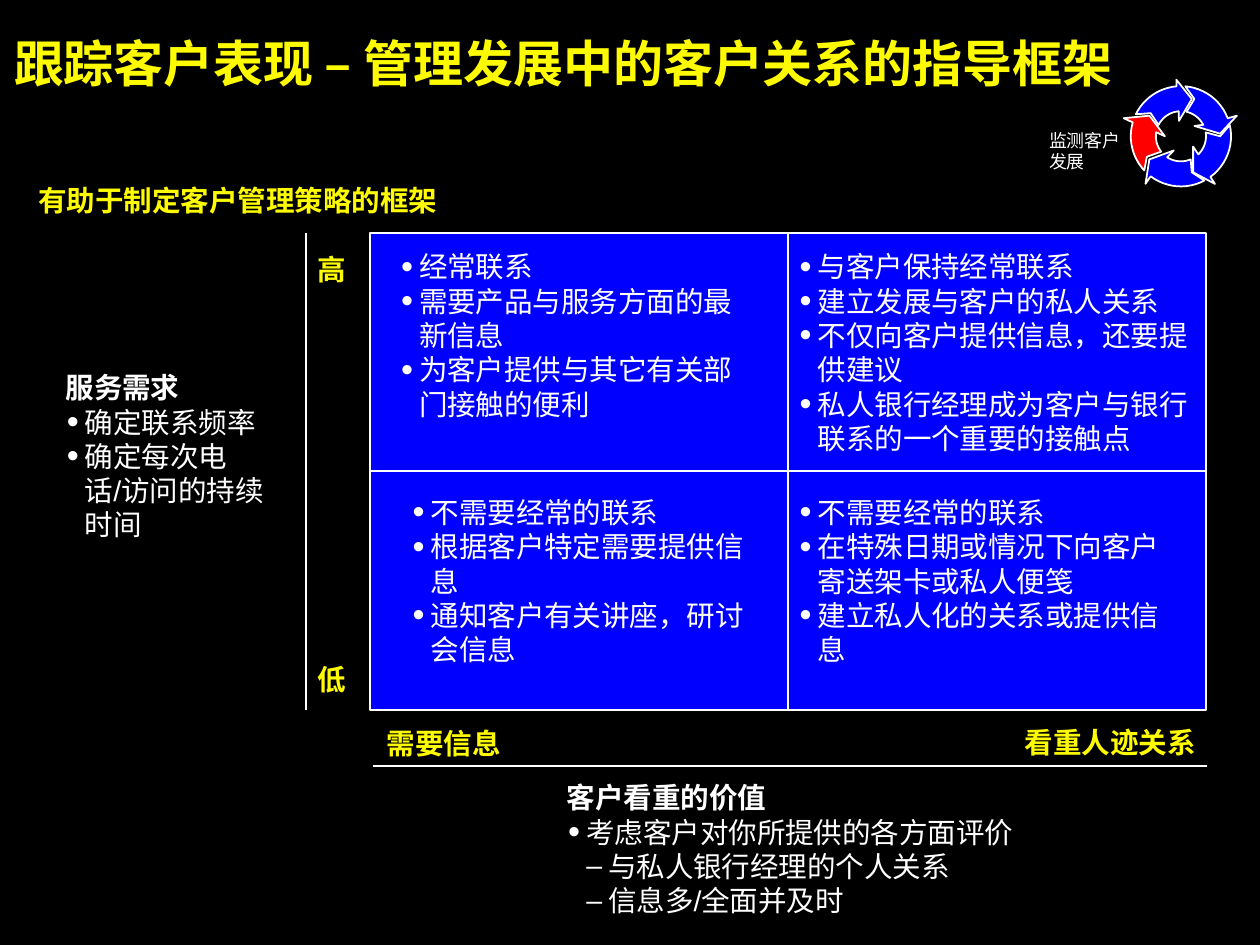
import math

from lxml import etree
from pptx import Presentation
from pptx.dml.color import RGBColor
from pptx.enum.shapes import MSO_CONNECTOR, MSO_SHAPE
from pptx.enum.text import MSO_ANCHOR
from pptx.oxml.ns import qn
from pptx.util import Emu, Pt

RECTANGLE = MSO_SHAPE.RECTANGLE
STRAIGHT = MSO_CONNECTOR.STRAIGHT
TOP = MSO_ANCHOR.TOP
MIDDLE = MSO_ANCHOR.MIDDLE

EMU_PER_PX = 9144
FONT = "Arial"
BLACK = "000000"
WHITE = "FFFFFF"
YELLOW = "FEFB00"
BLUE = "0000FE"
RED = "FF0000"

LEVELS = {
    1: {"bullet": "•", "margin": 15, "indent": -14, "size": 120},
    2: {"bullet": "–", "margin": 32, "indent": -17, "size": 100},
}

GRID_LEFT, GRID_TOP = 288, 181
CELL_WIDTH, CELL_HEIGHT = 325, 185.5

QUADRANTS = [
    (311, 194, 267, 133, ["经常联系", "需要产品与服务方面的最新信息", "为客户提供与其它有关部门接触的便利"]),
    (621, 194, 317, 160, ["与客户保持经常联系", "建立发展与客户的私人关系",
                          "不仅向客户提供信息，还要提供建议",
                          "私人银行经理成为客户与银行联系的一个重要的接触点"]),
    (320, 385, 267, 133, ["不需要经常的联系", "根据客户特定需要提供信息", "通知客户有关讲座，研讨会信息"]),
    (621, 385, 296, 133, ["不需要经常的联系", "在特殊日期或情况下向客户寄送架卡或私人便笺",
                          "建立私人化的关系或提供信息"]),
]

AXIS_LABELS = [
    (247, 196, 28, "高"),
    (247, 515, 28, "低"),
    (301, 565, 105, "需要信息"),
    (797, 564, 152, "看重人迹关系"),
]

RING_CENTER = (918.5, 106)
INNER_RADIUS, OUTER_RADIUS = 19.5, 39
RING_ARROWS = [
    (BLUE, (207, 265), [(917, 94), (927, 77), (915, 62)], (265, 206), (895, 88)),
    (BLUE, (283, 333), [(929, 98), (949, 104), (962, 90)], (339, 275), (929, 77)),
    (BLUE, (351, 406), [(928, 114), (928, 134), (945, 143)], (414, 347), (949, 106)),
    (BLUE, (67, 123), [(913, 117), (894, 124), (891, 143)], (127, 62), (927, 134)),
    (RED, (142, 189), [(906, 106), (894, 90), (874, 92)], (196, 137), (892, 122)),
]


def px(value):
    return Emu(round(value * EMU_PER_PX))


def rgb(color):
    return RGBColor.from_string(color)


def style_shape(shape, fill):
    shape.shadow.inherit = False
    shape.fill.solid()
    shape.fill.fore_color.rgb = rgb(fill)
    shape.line.color.rgb = rgb(WHITE)
    shape.line.width = Pt(1)


def add_bullet(paragraph, level):
    style = LEVELS[level]
    paragraph.level = level
    properties = paragraph._p.get_or_add_pPr()
    properties.set("marL", str(px(style["margin"])))
    properties.set("indent", str(px(style["indent"])))
    color = etree.SubElement(properties, qn("a:buClr"))
    etree.SubElement(color, qn("a:srgbClr"), val=WHITE)
    etree.SubElement(properties, qn("a:buSzPct"), val=str(style["size"] * 1000))
    etree.SubElement(properties, qn("a:buFont"), typeface=FONT)
    etree.SubElement(properties, qn("a:buChar"), char=style["bullet"])


def write_text(paragraph, text, size=16, color=WHITE, bold=False, level=0):
    if level:
        add_bullet(paragraph, level)
    run = paragraph.add_run()
    run.text = text
    run.font.name = FONT
    run.font.size = Pt(size)
    run.font.bold = bold
    run.font.color.rgb = rgb(color)


def add_text(slide, left, top, width, height, lines, anchor=TOP):
    box = slide.shapes.add_textbox(px(left), px(top), px(width), px(height))
    frame = box.text_frame
    frame.word_wrap = True
    frame.vertical_anchor = anchor
    frame.margin_left = frame.margin_right = 0
    frame.margin_top = frame.margin_bottom = 0
    for index, (text, text_format) in enumerate(lines):
        paragraph = frame.add_paragraph() if index else frame.paragraphs[0]
        write_text(paragraph, text, **text_format)


def add_line(slide, start_x, start_y, end_x, end_y):
    line = slide.shapes.add_connector(STRAIGHT, px(start_x), px(start_y), px(end_x), px(end_y))
    line.line.color.rgb = rgb(WHITE)
    line.line.width = Pt(1)
    etree.SubElement(line._element.spPr, qn("a:effectLst"))


def add_cell(slide, row, column):
    cell = slide.shapes.add_shape(
        RECTANGLE,
        px(GRID_LEFT + column * CELL_WIDTH), px(GRID_TOP + row * CELL_HEIGHT),
        px(CELL_WIDTH), px(CELL_HEIGHT))
    style_shape(cell, BLUE)


def arc_points(radius, start, end, steps=12):
    center_x, center_y = RING_CENTER
    angles = [math.radians(start + (end - start) * step / steps) for step in range(steps + 1)]
    return [(center_x + radius * math.cos(angle), center_y + radius * math.sin(angle))
            for angle in angles]


def add_ring_arrow(slide, fill, inner, head, outer, notch):
    points = arc_points(INNER_RADIUS, *inner) + head + arc_points(OUTER_RADIUS, *outer) + [notch]
    vertices = [(px(x), px(y)) for x, y in points]
    builder = slide.shapes.build_freeform(*vertices[0])
    builder.add_line_segments(vertices[1:], close=True)
    style_shape(builder.convert_to_shape(), fill)


def main():
    presentation = Presentation()
    presentation.slide_width = px(980)
    presentation.slide_height = px(735)
    slide = presentation.slides.add_slide(presentation.slide_layouts[6])
    slide.background.fill.solid()
    slide.background.fill.fore_color.rgb = rgb(BLACK)

    heading = {"color": YELLOW, "bold": True}
    subject = {"bold": True}
    bullet = {"level": 1}
    dash = {"level": 2}

    for row in (1, 0):
        for column in (0, 1):
            add_cell(slide, row, column)

    add_text(slide, 11, 25, 910, 47,
             [("跟踪客户表现 – 管理发展中的客户关系的指导框架", {**heading, "size": 28})])
    add_text(slide, 30, 142, 380, 27, [("有助于制定客户管理策略的框架", heading)])
    add_text(slide, 51, 288, 175, 133, [
        ("服务需求", subject),
        ("确定联系频率", bullet),
        ("确定每次电话/访问的持续时间", bullet),
    ])
    for left, top, width, height, texts in QUADRANTS:
        add_text(slide, left, top, width, height, [(text, bullet) for text in texts])

    add_line(slide, 238, 181, 238, 552)
    add_line(slide, 290, 596, 939, 596)
    for left, top, width, text in AXIS_LABELS:
        add_text(slide, left, top, width, 27, [(text, heading)])

    add_text(slide, 441, 607, 425, 107, [
        ("客户看重的价值", subject),
        ("考虑客户对你所提供的各方面评价", bullet),
        ("与私人银行经理的个人关系", dash),
        ("信息多/全面并及时", dash),
    ])

    for arrow in RING_ARROWS:
        add_ring_arrow(slide, *arrow)
    add_text(slide, 816, 101, 64, 33, [("监测客户发展", {"size": 10})], anchor=MIDDLE)

    presentation.save("out.pptx")


if __name__ == "__main__":
    main()
